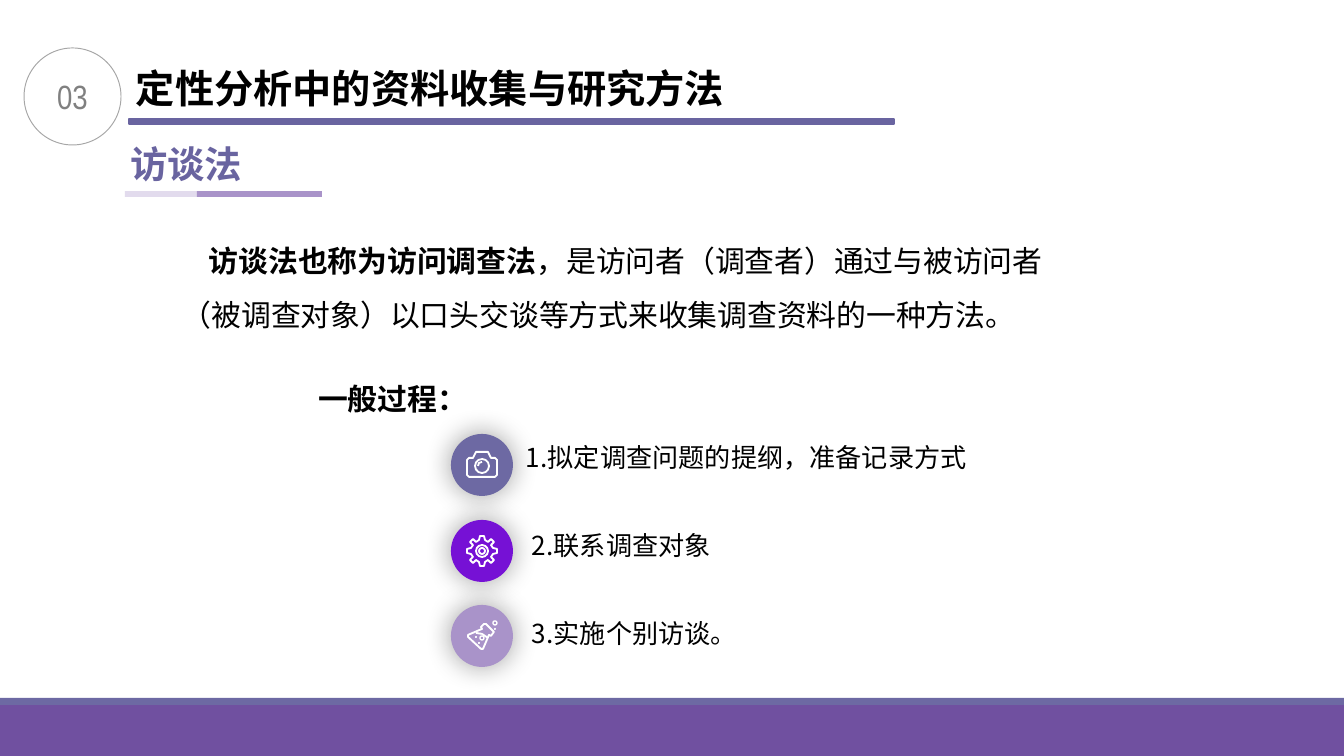
import math

from lxml import etree
from pptx import Presentation
from pptx import util as u
from pptx.dml.color import RGBColor
from pptx.enum import shapes, text
from pptx.oxml import ns

EMU_PER_PX = 914400 / 134.4
SANS = "Noto Sans CJK SC"
BLACK, WHITE, INDIGO = "000000", "FFFFFF", "6964A0"
BADGE_SIZE = 62


def px(length):
    return u.Emu(round(length * EMU_PER_PX))


def color(value):
    return RGBColor.from_string(value)


def style(shape, fill=None, line=None, weight=1.0):
    shape.shadow.inherit = False
    if fill:
        shape.fill.solid()
        shape.fill.fore_color.rgb = color(fill)
    else:
        shape.fill.background()
    if line:
        shape.line.color.rgb = color(line)
        shape.line.width = u.Pt(weight)
    else:
        shape.line.fill.background()
    return shape


def add_box(slide, left, top, width, height, kind="RECTANGLE", **look):
    shape = slide.shapes.add_shape(
        shapes.MSO_SHAPE[kind], px(left), px(top), px(width), px(height))
    return style(shape, **look)


def add_circle(slide, x, y, radius, **look):
    return add_box(slide, x - radius, y - radius, 2 * radius, 2 * radius, "OVAL", **look)


def add_outline(slide, x, y, points, closed=True):
    """Draw a white line through points given relative to (x, y)."""
    placed = [(x + dx, y + dy) for dx, dy in points]
    builder = slide.shapes.build_freeform(*placed[0], scale=EMU_PER_PX)
    builder.add_line_segments(placed[1:], close=closed)
    return style(builder.convert_to_shape(), line=WHITE)


def format_run(run, size, value, bold=False, font=SANS):
    run.font.size = u.Pt(size)
    run.font.bold = bold
    run.font.color.rgb = color(value)
    run.font.name = font
    east_asian = etree.SubElement(run.font._element, ns.qn("a:ea"))
    east_asian.set("typeface", font)


def add_text(slide, left, top, width, height, parts, size, value=BLACK,
             wrap=False, spacing=None, indent=0, margins=(13, 7)):
    """Add one paragraph made of (wording, bold) parts."""
    box = slide.shapes.add_textbox(px(left), px(top), px(width), px(height))
    frame = box.text_frame
    frame.word_wrap = wrap
    frame.margin_left = frame.margin_right = px(margins[0])
    frame.margin_top = frame.margin_bottom = px(margins[1])
    paragraph = frame.paragraphs[0]
    if spacing:
        paragraph.line_spacing = spacing
    if indent:
        paragraph._p.get_or_add_pPr().set("indent", str(px(indent)))
    for wording, bold in parts:
        run = paragraph.add_run()
        run.text = wording
        format_run(run, size, value, bold)


def add_badge(slide, left, top, fill):
    badge = add_box(slide, left, top, BADGE_SIZE, BADGE_SIZE, "OVAL", fill=fill)
    effects = badge._element.spPr.find(ns.qn("a:effectLst"))
    shadow = etree.SubElement(effects, ns.qn("a:outerShdw"), blurRad=str(u.Pt(15)),
                              dist="0", dir="0", algn="ctr", rotWithShape="0")
    tint = etree.SubElement(shadow, ns.qn("a:srgbClr"), val="0D0D0D")
    etree.SubElement(tint, ns.qn("a:alpha"), val="40000")


def draw_camera(slide, x, y):
    right = [(6, -13), (9, -7), (13, -7), (15, -5), (15, 10), (13, 12)]
    left = [(-dx, dy) for dx, dy in reversed(right)]
    add_outline(slide, x, y, right + left)
    add_circle(slide, x, y + 1, 7, line=WHITE)
    add_outline(slide, x, y, [(-4, 1), (-3, -2), (0, -3)], closed=False)


def draw_gear(slide, x, y):
    teeth = 8
    corners = [(11, -14), (15, -8), (15, 8), (11, 14)]
    points = []
    for tooth in range(teeth):
        for radius, offset in corners:
            angle = math.radians(tooth * 360 / teeth + offset)
            points.append((radius * math.cos(angle), radius * math.sin(angle)))
    add_outline(slide, x, y, points)
    for radius in (6, 3):
        add_circle(slide, x, y, radius, line=WHITE)


def draw_flask(slide, x, y):
    add_outline(slide, x, y, [(2, -12), (4, -12), (12, -4), (9, 0), (7, -1), (1, 13),
                              (-1, 13), (-14, 1), (-14, -1), (0, -7), (-1, -9)])
    add_outline(slide, x, y, [(-6, -3), (0, -2), (6, 2)], closed=False)
    for dx, dy in [(0, 2), (13, -13)]:
        add_circle(slide, x + dx, y + dy, 2, line=WHITE, weight=0.75)
    for dx, dy in [(-6, 1), (-3, 7), (13, -7)]:
        add_circle(slide, x + dx, y + dy, 1, fill=WHITE)


def add_header(slide):
    number = add_box(slide, 24, 48, 97, 97, "OVAL", line="A6A6A6", weight=0.5)
    frame = number.text_frame
    frame.text = "03"
    frame.margin_left = frame.margin_right = px(10)
    frame.vertical_anchor = text.MSO_ANCHOR.MIDDLE
    frame.paragraphs[0].alignment = text.PP_ALIGN.CENTER
    format_run(frame.paragraphs[0].runs[0], 18, "808080", font="Arial Narrow")

    add_text(slide, 126, 59, 618, 58, [("定性分析中的资料收集与研究方法", True)], 21,
             margins=(10, 5))
    add_box(slide, 129, 119, 765, 5, fill=INDIGO, line=INDIGO, weight=1.25)
    add_text(slide, 117, 134, 141, 59, [("访谈法", True)], 20, INDIGO)
    add_box(slide, 125, 191, 87, 6, fill="E2DBED")
    add_box(slide, 197, 191, 125, 6, fill="A993C9")


def add_steps(slide):
    steps = [
        ("1.拟定调查问题的提纲，准备记录方式", 513, "6D69A3", draw_camera),
        ("2.联系调查对象", 519, "7611D5", draw_gear),
        ("3.实施个别访谈。", 519, "A993C9", draw_flask),
    ]
    for index, (wording, left, fill, draw_icon) in enumerate(steps):
        add_text(slide, left, 434 + 88 * index, 630, 54, [(wording, False)], 14)
        top = 434 + round(85.5 * index)
        add_badge(slide, 451, top, fill)
        draw_icon(slide, 451 + BADGE_SIZE // 2, top + BADGE_SIZE // 2)


def main():
    presentation = Presentation()
    presentation.slide_width, presentation.slide_height = px(1344), px(756)
    slide = presentation.slides.add_slide(presentation.slide_layouts[6])
    add_box(slide, 0, 705, 1344, 51, fill="7050A0")
    add_box(slide, 0, 698, 1344, 7, fill="6D69A3")
    add_header(slide)
    definition = [
        ("访谈法也称为访问调查法", True),
        ("，是访问者（调查者）通过与被访问者（被调查对象）以口头交谈等方式来收集调查资料的一种方法。", False),
    ]
    add_text(slide, 169, 218, 899, 114, definition, 16, wrap=True, spacing=1.5, indent=27)
    add_text(slide, 278, 356, 235, 59, [("一般过程：", True)], 16, wrap=True, spacing=1.5, indent=27)
    add_steps(slide)
    presentation.save("out.pptx")


if __name__ == "__main__":
    main()
